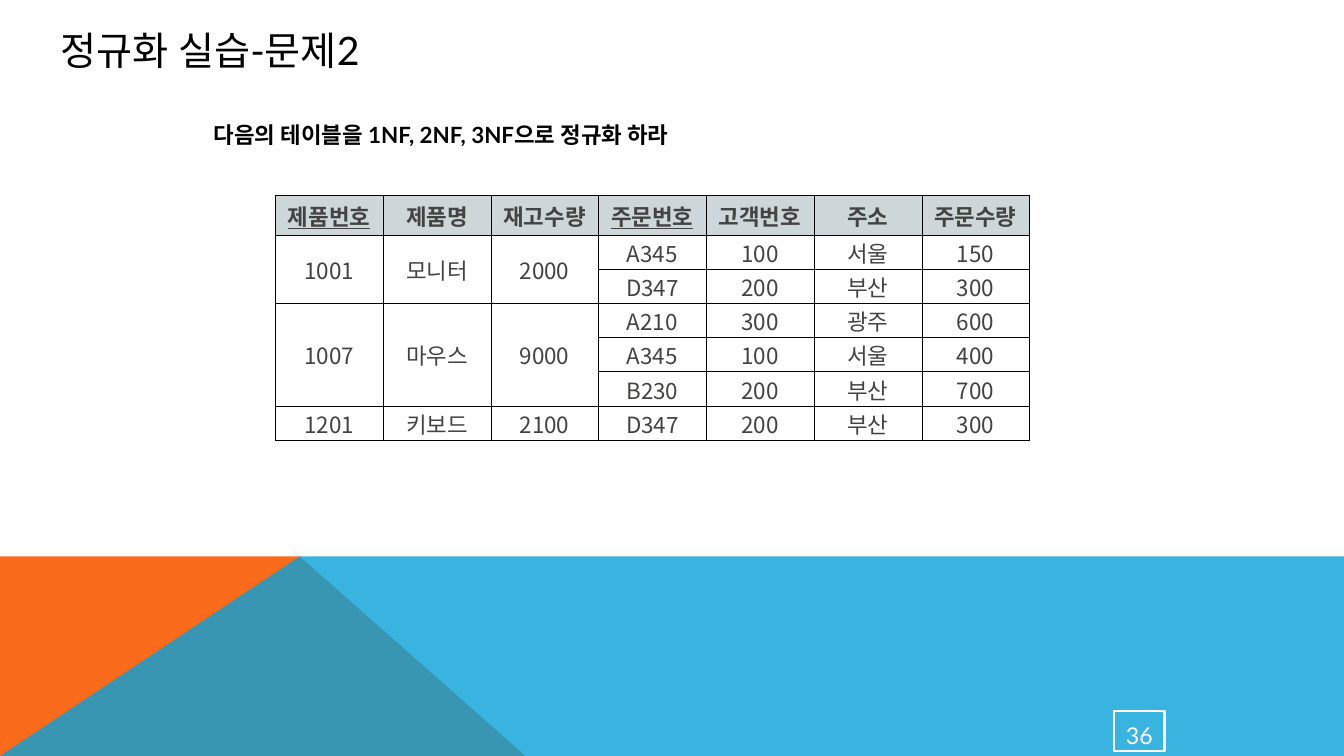
from lxml.etree import SubElement
from pptx import Presentation
from pptx.dml.color import RGBColor
from pptx.enum.shapes import MSO_SHAPE
from pptx.enum.text import MSO_ANCHOR, MSO_AUTO_SIZE, PP_ALIGN
from pptx.oxml.ns import qn
from pptx.util import Inches, Pt

WIDTH, HEIGHT = Inches(13.33), Inches(7.5)
COLORS = {
    "ink": "000000", "cell": "434342", "header": "CDD7D9",
    "orange": "F96A1B", "blue": "08A1D9", "white": "FFFFFF",
}
LATIN, KOREAN = "Lato", "Noto Sans CJK KR"

HEADINGS = ["제품번호", "제품명", "재고수량", "주문번호", "고객번호", "주소", "주문수량"]
KEYS = {"제품번호", "주문번호"}
# Each product with its orders
PRODUCTS = [
    (["1001", "모니터", "2000"],
     [["A345", "100", "서울", "150"], ["D347", "200", "부산", "300"]]),
    (["1007", "마우스", "9000"],
     [["A210", "300", "광주", "600"], ["A345", "100", "서울", "400"],
      ["B230", "200", "부산", "700"]]),
    (["1201", "키보드", "2100"], [["D347", "200", "부산", "300"]]),
]
COLUMN, HEADER_ROW, ORDER_ROW = Inches(7.48 / 7), Inches(0.39), Inches(0.34)
THIN, THICK = Pt(0.25), Pt(1)


def rgb(name):
    return RGBColor.from_string(COLORS[name])


def write(frame, text, size=16, color="ink", font=LATIN, bold=False, underline=False,
          align=PP_ALIGN.LEFT, anchor=MSO_ANCHOR.MIDDLE):
    """Put one formatted paragraph into a text frame and return it."""
    frame.word_wrap = True
    frame.vertical_anchor = anchor
    paragraph = frame.paragraphs[0]
    paragraph.alignment = align
    run = paragraph.add_run()
    run.text = text
    run.font.size, run.font.name = Pt(size), font
    run.font.bold, run.font.underline = bold, underline
    run.font.color.rgb = rgb(color)
    SubElement(run.font._element, qn("a:ea"), typeface=font)
    return paragraph


def place(shape, left, top, width, height):
    shape.left, shape.top = Inches(left), Inches(top)
    shape.width, shape.height = Inches(width), Inches(height)
    shape.text_frame.auto_size = MSO_AUTO_SIZE.NONE


def add_band(slide, layer, color, corners, opacity=None):
    """Draw a polygon behind the text; corners are shares of the slide."""
    points = [(WIDTH * x, HEIGHT * y) for x, y in corners]
    builder = slide.shapes.build_freeform(*points[0])
    builder.add_line_segments(points[1:], close=True)
    band = builder.convert_to_shape()
    band.shadow.inherit = False
    band.fill.solid()
    band.fill.fore_color.rgb = rgb(color)
    band.line.fill.background()
    if opacity:
        tone = band._element.spPr.find(qn("a:solidFill"))[0]
        SubElement(tone, qn("a:alpha"), val=str(opacity * 1000))
    slide.shapes._spTree.insert(2 + layer, band._element)


def add_border(cell, side, width):
    line = SubElement(cell._tc.get_or_add_tcPr(), qn("a:ln" + side), w=str(width))
    fill = SubElement(line, qn("a:solidFill"))
    SubElement(fill, qn("a:srgbClr"), val=COLORS["ink"])


def fill_cell(cell, text, header=False, top=THIN, bottom=THIN):
    for side, width in zip("LRTB", (THIN, THIN, top, bottom)):
        add_border(cell, side, width)
    if header:
        cell.fill.solid()
        cell.fill.fore_color.rgb = rgb("header")
    else:
        cell.fill.background()
    cell.margin_left = cell.margin_right = cell.margin_top = Inches(0.01)
    cell.margin_bottom = 0
    cell.vertical_anchor = MSO_ANCHOR.MIDDLE
    # Empty cells keep the text size, so that their rows stay low
    cell.text_frame.paragraphs[0].font.size = Pt(16)
    if text:
        write(cell.text_frame, text, color="cell", font=KOREAN, bold=header,
              underline=header and text in KEYS, align=PP_ALIGN.CENTER, anchor=None)


def add_order_table(slide):
    order_count = sum(len(orders) for _, orders in PRODUCTS)
    table = slide.shapes.add_table(
        order_count + 1, len(HEADINGS), Inches(2.73), Inches(1.94),
        COLUMN * len(HEADINGS), HEADER_ROW + ORDER_ROW * order_count).table
    table.first_row = table.horz_banding = False
    for column in table.columns:
        column.width = COLUMN
    for index, row in enumerate(table.rows):
        row.height = ORDER_ROW if index else HEADER_ROW

    for col, heading in enumerate(HEADINGS):
        fill_cell(table.cell(0, col), heading, header=True)

    first = 1
    for product, orders in PRODUCTS:
        last = first + len(orders) - 1
        for row, order in enumerate(orders, first):
            # Product values stand once, in the first row of their group
            for col, value in enumerate(product):
                fill_cell(table.cell(row, col), value if row == first else "")
            for col, value in enumerate(order, len(product)):
                fill_cell(table.cell(row, col), value,
                          top=THIN if row == first else THICK,
                          bottom=THIN if row == last else THICK)
        if last > first:
            for col in range(len(product)):
                table.cell(first, col).merge(table.cell(last, col))
        first = last + 1


def add_page_number(slide, number):
    box = slide.shapes.add_shape(MSO_SHAPE.RECTANGLE, Inches(11.05), Inches(7.05),
                                 Inches(0.5), Inches(0.4))
    box.shadow.inherit = False
    box.fill.background()
    box.line.color.rgb = rgb("white")
    box.line.width = Pt(1.5)
    frame = box.text_frame
    frame.margin_left = frame.margin_right = frame.margin_bottom = Inches(0.01)
    frame.margin_top = Inches(0.09)
    write(frame, number, size=16.5, color="white", align=PP_ALIGN.CENTER)


def main():
    deck = Presentation()
    deck.slide_width, deck.slide_height = WIDTH, HEIGHT
    slide = deck.slides.add_slide(deck.slide_layouts[1])
    title, task = slide.placeholders

    # Coloured bands at the foot
    horizon, peak = 0.736, 0.223
    add_band(slide, 0, "orange", [(0, 1), (0, horizon), (peak, horizon), (0.391, 1)])
    add_band(slide, 1, "blue", [(0, 1), (peak, horizon), (1, horizon), (1, 1)], opacity=80)

    # Title and task
    place(title, 0.5, 0.15, 12.39, 0.69)
    write(title.text_frame, "정규화 실습-문제2", size=28)
    place(task, 2.02, 1.15, 9.29, 5.98)
    line = write(task.text_frame, "다음의 테이블을 1NF, 2NF, 3NF으로 정규화 하라",
                 bold=True, anchor=MSO_ANCHOR.TOP)
    line.space_before = Pt(8)
    indent = line._p.get_or_add_pPr()
    indent.set("marL", str(Inches(0.38)))
    indent.set("indent", str(-Inches(0.38)))
    SubElement(indent, qn("a:buNone"))

    # Orders and page number
    add_order_table(slide)
    add_page_number(slide, "36")
    deck.save("out.pptx")


if __name__ == "__main__":
    main()
